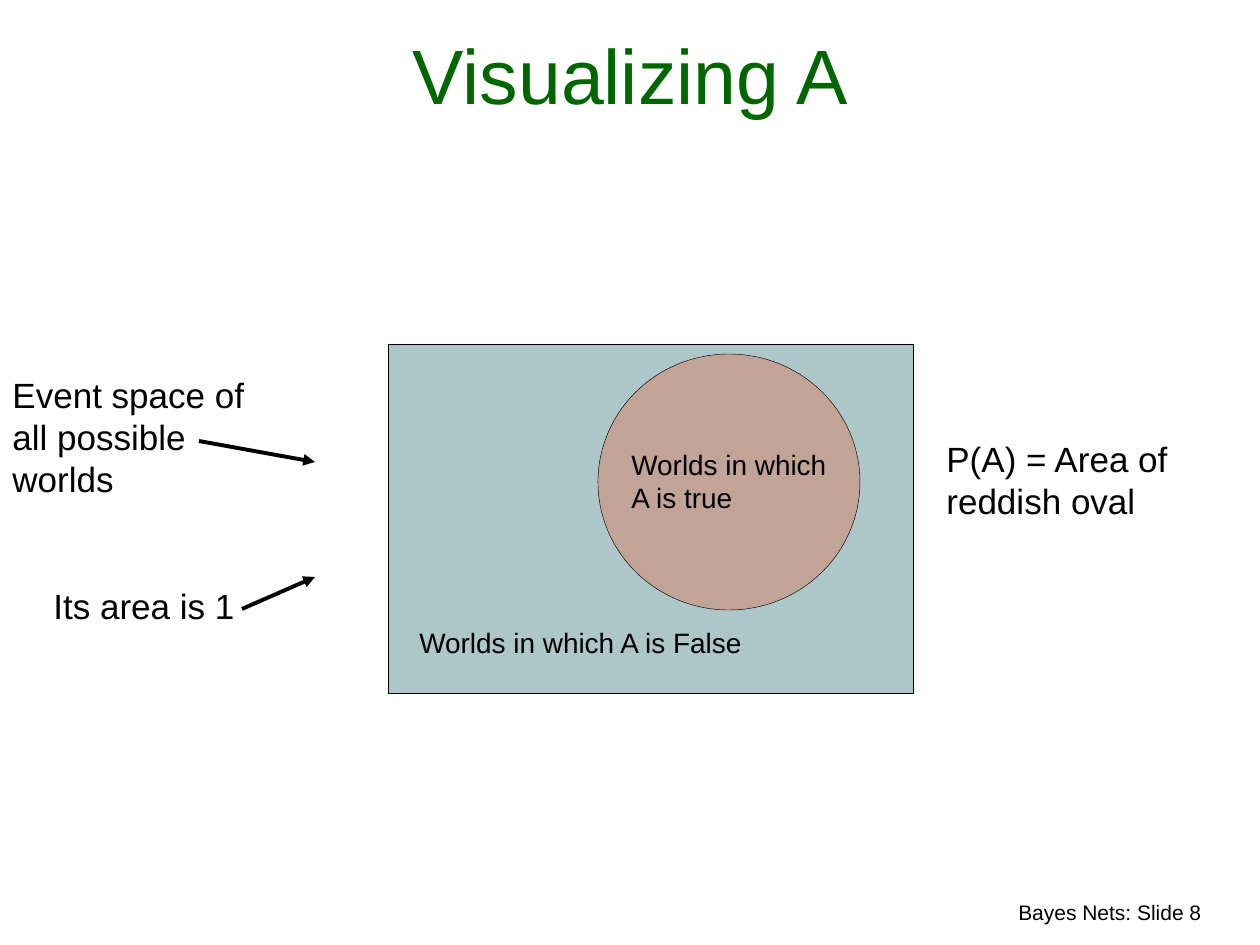
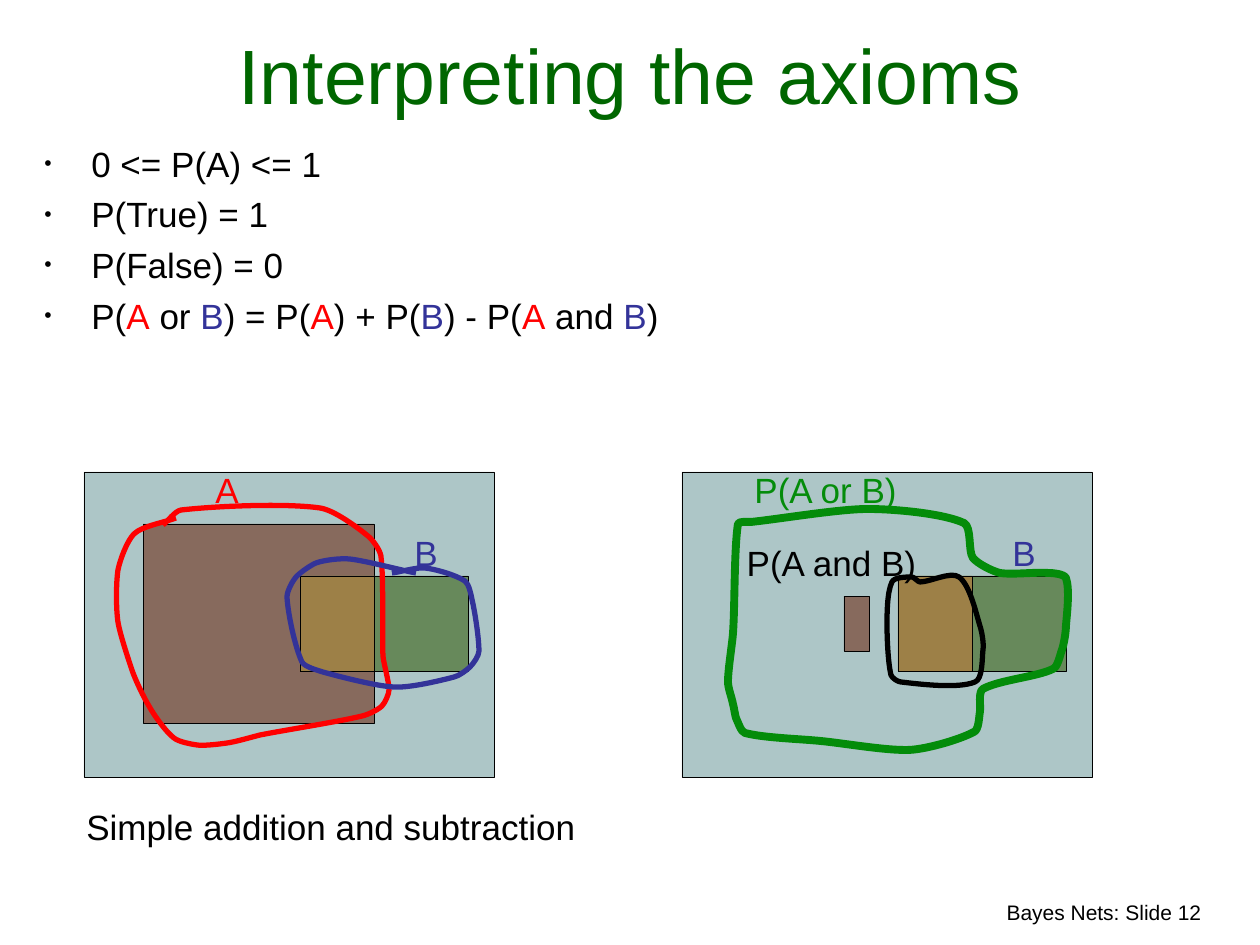
import math

import pptx
import pptx.util
import pptx.dml.color
import pptx.enum.shapes
import pptx.enum.text
import pptx.oxml
import pptx.oxml.ns
from lxml import etree

# Shared style
SCALE = 914400 / 126  # EMU in one pixel
FONT = "Arial"
BLACK, TITLE_GREEN, UNION_GREEN = "000000", "006600", "048C0A"
RED, BLUE = "FF0000", "333399"
WORLD, REDDISH = "ADC6C7", "C2A398"
BROWN, LEAF, OCHRE = "876A5D", "67895B", "9D8047"
HAIRLINE = 0.26
LINE_BOX = 55  # height of a box with one 20-point line
BULLET_INDENT = 47

SHAPE = pptx.enum.shapes.MSO_SHAPE
ALIGN = pptx.enum.text.PP_ALIGN
ANCHOR = pptx.enum.text.MSO_ANCHOR
FIT = pptx.enum.text.MSO_AUTO_SIZE

# Venn diagram: both panels share these sizes
PANEL_TOP, PANEL_WIDTH, PANEL_HEIGHT = 472, 410, 305
LEFT_PANEL, RIGHT_PANEL = 84, 682
B_OFFSET, B_TOP, B_WIDTH, B_HEIGHT = 216, 576, 168, 95
OVERLAP_WIDTH = 74
A_LABEL_TOP = PANEL_TOP - 10

# Turning points of the hand-drawn loops; smooth_curves() rounds them
LOOP_A = [(176, 518), (134, 534), (118, 570), (118, 622), (132, 670), (149, 706),
          (174, 738), (197, 745), (227, 743), (260, 735), (362, 716), (382, 706),
          (389, 690), (383, 656), (381, 556), (368, 536), (320, 508), (181, 510),
          (163, 525)]
LOOP_B = [(416, 573), (350, 559), (316, 563), (297, 576), (287, 597), (302, 662),
          (323, 672), (394, 687), (454, 677), (470, 667), (479, 651), (472, 599),
          (465, 581), (425, 568), (392, 573)]
LOOP_UNION = [(733, 704), (728, 682), (733, 634), (738, 524), (751, 522), (868, 509),
              (964, 523), (973, 558), (1000, 573), (1048, 573), (1066, 578),
              (1066, 626), (1062, 650), (1053, 669), (983, 689), (980, 712),
              (974, 732), (910, 750), (820, 741), (745, 733), (736, 718)]
LOOP_OVERLAP = [(912, 577), (892, 582), (887, 625), (891, 675), (901, 682), (975, 682),
                (983, 650), (980, 626), (959, 577), (920, 582)]


def emu(*pixels):
    return [round(value * SCALE) for value in pixels]


def color(hex_string):
    return pptx.dml.color.RGBColor.from_string(hex_string)


def set_line(shape, hex_string, width):
    shape.line.color.rgb = color(hex_string)
    shape.line.width = pptx.util.Pt(width)


# Text
def add_bullet(para):
    properties = para._p.get_or_add_pPr()
    indent = emu(BULLET_INDENT)[0]
    properties.set("marL", str(indent))
    properties.set("indent", str(-indent))
    space = pptx.oxml.ns.nsdecls("a")
    for markup in (f'<a:buClr {space}><a:srgbClr val="{BLACK}"/></a:buClr>',
                   f'<a:buSzPct {space} val="60000"/>',
                   f'<a:buFont {space} typeface="{FONT}"/>',
                   f'<a:buChar {space} char="&#8226;"/>'):
        properties.append(pptx.oxml.parse_xml(markup))


def add_text(page, area, paragraphs, size=20, hue=BLACK, align=ALIGN.LEFT,
             anchor=ANCHOR.TOP, wrap=False, before=0, bullets=False):
    """Each paragraph is a string or a list of (text, colour) spans."""
    box = page.shapes.add_textbox(*emu(*area))
    frame = box.text_frame
    frame.word_wrap = wrap
    frame.auto_size = FIT.NONE if wrap else FIT.SHAPE_TO_FIT_TEXT
    frame.vertical_anchor = anchor
    for index, content in enumerate(paragraphs):
        para = frame.paragraphs[0] if index == 0 else frame.add_paragraph()
        para.alignment = align
        para.space_before = pptx.util.Pt(before)
        if bullets:
            add_bullet(para)
        spans = [(content, hue)] if isinstance(content, str) else content
        for text, span_hue in spans:
            span = para.add_run()
            span.text = text
            span.font.name = FONT
            span.font.size = pptx.util.Pt(size)
            span.font.color.rgb = color(span_hue)


def add_label(page, left, top, text, hue, width=48):
    add_text(page, (left, top, width, LINE_BOX), [text], hue=hue, align=ALIGN.CENTER)


def color_events(formula):
    """Split a formula into spans, with the events A and B coloured."""
    events = {"A": RED, "B": BLUE}
    spans = []
    for letter in formula:
        hue = events.get(letter, BLACK)
        if spans and spans[-1][1] == hue:
            spans[-1] = (spans[-1][0] + letter, hue)
        else:
            spans.append((letter, hue))
    return spans


# Areas, arrows and loops
def add_area(page, area, fill, kind=SHAPE.RECTANGLE):
    shape = page.shapes.add_shape(kind, *emu(*area))
    shape.shadow.inherit = False
    shape.fill.solid()
    shape.fill.fore_color.rgb = color(fill)
    set_line(shape, BLACK, HAIRLINE)


def add_arrow(page, start, end):
    arrow = page.shapes.add_connector(
        pptx.enum.shapes.MSO_CONNECTOR.STRAIGHT, *emu(*start, *end))
    set_line(arrow, BLACK, 2.24)
    head = etree.SubElement(arrow.line._get_or_add_ln(), pptx.oxml.ns.qn("a:tailEnd"))
    head.set("type", "triangle")
    etree.SubElement(arrow._element.spPr, pptx.oxml.ns.qn("a:effectLst"))


def smooth_curves(points, close):
    """Return three Bezier points for each step from one turning point to the next.

    The curve passes a point parallel to the line between its two neighbours;
    each handle is a quarter as long as its step.
    """
    count = len(points)

    def direction(index):
        before, after = index - 1, index + 1
        if close:
            before, after = before % count, after % count
        else:
            before, after = max(before, 0), min(after, count - 1)
        (x1, y1), (x2, y2) = points[before], points[after]
        length = math.dist(points[before], points[after])
        return (x2 - x1) / length, (y2 - y1) / length

    curves = []
    for index in range(count if close else count - 1):
        following = (index + 1) % count
        start, end = points[index], points[following]
        reach = math.dist(start, end) / 4
        for (x, y), (dx, dy), way in ((start, direction(index), reach),
                                      (end, direction(following), -reach)):
            curves.append((round(x + way * dx), round(y + way * dy)))
        curves.append(end)
    return curves


def add_loop(page, points, hue, width=3, close=False):
    builder = page.shapes.build_freeform(*points[0], scale=SCALE)
    builder.add_line_segments(smooth_curves(points, close), close=close)
    loop = builder.convert_to_shape()
    loop.shadow.inherit = False
    loop.fill.background()
    set_line(loop, hue, width)
    # Join every three straight segments into one Bezier curve
    segments = list(loop._element.iter(pptx.oxml.ns.qn("a:lnTo")))
    for first in range(0, len(segments), 3):
        curve = etree.Element(pptx.oxml.ns.qn("a:cubicBezTo"))
        segments[first].addprevious(curve)
        for segment in segments[first:first + 3]:
            curve.append(segment[0])
            segment.getparent().remove(segment)


# Slides
def add_page(deck, title, number):
    page = deck.slides.add_slide(deck.slide_layouts[6])
    add_text(page, (720, 893, 494, 38), [f"Bayes Nets: Slide {number}"], size=12,
             align=ALIGN.RIGHT, wrap=True, before=7.5)
    add_text(page, (11, 21, 1239, 105), [title], size=44, hue=TITLE_GREEN,
             align=ALIGN.CENTER, anchor=ANCHOR.BOTTOM, wrap=True)
    return page


def add_venn(page, left, brown_area):
    b_left = left + B_OFFSET
    add_area(page, (left, PANEL_TOP, PANEL_WIDTH, PANEL_HEIGHT), WORLD)
    add_area(page, brown_area, BROWN)
    for width, fill in ((B_WIDTH, LEAF), (OVERLAP_WIDTH, OCHRE)):
        add_area(page, (b_left, B_TOP, width, B_HEIGHT), fill)
    add_label(page, left + 318, B_TOP - 51, "B", BLUE)


def build_visualizing(deck):
    page = add_page(deck, "Visualizing A", 8)
    # Event space
    add_area(page, (388, 344, 525, 349), WORLD)
    add_area(page, (598, 354, 262, 256), REDDISH, SHAPE.OVAL)
    add_text(page, (407, 619, 350, 47), ["Worlds in which A is False"], size=16)
    add_text(page, (619, 441, 233, 81), ["Worlds in which A is true"], size=16, wrap=True)
    # Remarks
    add_text(page, (0, 367, 294, 139), ["Event space of all possible worlds"], wrap=True)
    add_text(page, (41, 578, 207, LINE_BOX), ["Its area is 1"])
    add_text(page, (934, 431, 248, 97), ["P(A) = Area of", "reddish oval"])
    for start, end in (((199, 441), (315, 462)), ((242, 609), (315, 577))):
        add_arrow(page, start, end)


def build_axioms(deck):
    page = add_page(deck, "Interpreting the axioms", 12)
    axioms = ["0 <= P(A) <= 1", "P(True) = 1", "P(False) = 0",
              color_events("P(A or B) = P(A) + P(B) - P(A and B)")]
    add_text(page, (32, 136, 683, 237), axioms, wrap=True, before=5, bullets=True)
    # Events A and B
    add_venn(page, LEFT_PANEL, (143, 524, 231, 199))
    add_loop(page, LOOP_A, RED)
    add_label(page, 203, A_LABEL_TOP, "A", RED)
    add_loop(page, LOOP_B, BLUE)
    # Union and overlap
    add_venn(page, RIGHT_PANEL, (844, 596, 25, 55))
    add_label(page, 741, A_LABEL_TOP, "P(A or B)", UNION_GREEN, width=169)
    add_loop(page, LOOP_UNION, UNION_GREEN, width=4.5, close=True)
    add_loop(page, LOOP_OVERLAP, BLACK, close=True)
    add_label(page, 733, 535, "P(A and B)", BLACK, width=197)
    add_text(page, (74, 799, 518, LINE_BOX), ["Simple addition and subtraction"])


def main():
    deck = pptx.Presentation()
    deck.slide_width, deck.slide_height = emu(1260, 945)
    build_visualizing(deck)
    build_axioms(deck)
    deck.save("out.pptx")


main()
